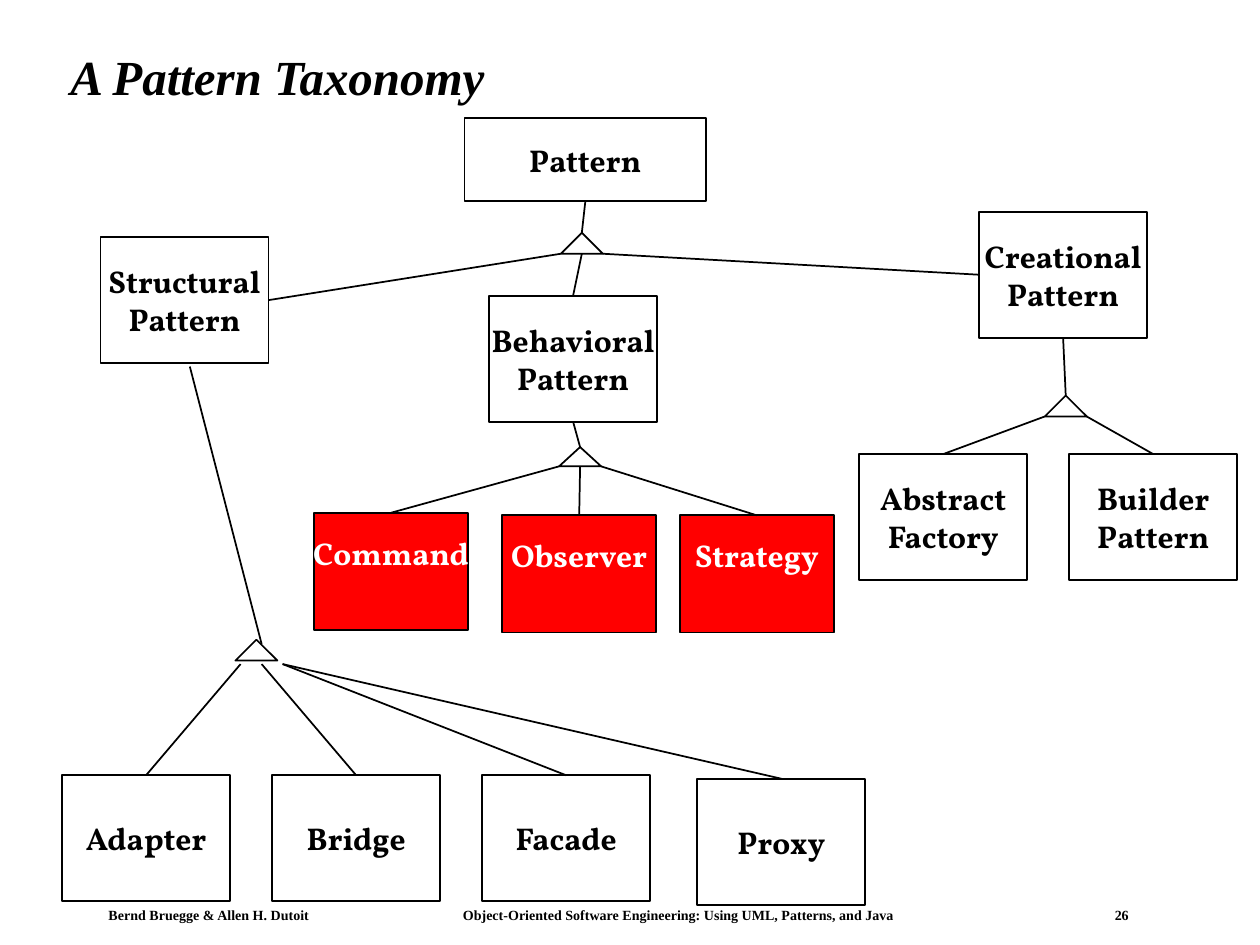
from lxml import etree
from pptx import Presentation
from pptx.dml.color import RGBColor
from pptx.enum.shapes import MSO_CONNECTOR as Link, MSO_SHAPE as Shape
from pptx.enum.text import MSO_ANCHOR as Anchor, MSO_AUTO_SIZE as Fit, PP_ALIGN as Align
from pptx.oxml.ns import qn
from pptx.util import Pt

BLACK = RGBColor(0, 0, 0)
WHITE = RGBColor(255, 255, 255)
RED = RGBColor(255, 0, 0)
SERIF = "Times New Roman"
WIDE, HIGH = 96, 72
STEP = 120
TIP = 24


def style(font, name, size, color=BLACK):
    """Set the bold face, size and colour of a font."""
    font.name, font.size, font.bold = name, Pt(size), True
    font.color.rgb = color


def draw(slide, kind, x, y, w, h, fill=WHITE):
    """Add an outlined preset shape."""
    shape = slide.shapes.add_shape(kind, Pt(x), Pt(y), Pt(w), Pt(h))
    shape.shadow.inherit = False
    shape.fill.solid()
    shape.fill.fore_color.rgb = fill
    shape.line.color.rgb = BLACK
    shape.line.width = Pt(1)
    return shape


def add_box(slide, text, x, y, w=WIDE, h=HIGH, fill=WHITE, color=BLACK):
    """Add a class box with a centred name."""
    box = draw(slide, Shape.RECTANGLE, x, y, w, h, fill)
    frame = box.text_frame
    frame.word_wrap = False
    frame.vertical_anchor = Anchor.MIDDLE
    frame.text = text
    for para in frame.paragraphs:
        para.alignment = Align.CENTER
        style(para.font, "Vollkorn", 18, color)
    return box


def add_red(slide, text, x, y):
    """Add a red class box with its name set high."""
    box = add_box(slide, text, x, y, 88, 67, RED, WHITE)
    box.text_frame.margin_bottom = Pt(25)
    return box


def add_line(slide, x, y, x2, y2):
    """Add a thin black straight line."""
    line = slide.shapes.add_connector(Link.STRAIGHT, Pt(x), Pt(y), Pt(x2), Pt(y2))
    line.line.color.rgb = BLACK
    line.line.width = Pt(1)
    etree.SubElement(line.element.spPr, qn("a:effectLst"))
    return line


def add_fork(slide, x, y, kids, root=None, h=12, dx=0, dy=0):
    """Add a triangle, with lines to its root and its kids."""
    draw(slide, Shape.ISOSCELES_TRIANGLE, x, y, TIP, h)
    if root:
        top = x + TIP / 2
        add_line(slide, top, y, top, y).end_connect(root, 2)
    for kid, part, side in kids:
        left, low = x + part * TIP + dx, y + h + dy
        add_line(slide, left, low, left, low).end_connect(kid, side)


def add_title(slide, text):
    """Fill and place the title."""
    title = slide.shapes.title
    title.left, title.top, title.width, title.height = Pt(33), Pt(17.5), Pt(642), Pt(55.5)
    frame = title.text_frame
    frame.text = text
    frame.auto_size = Fit.NONE
    frame.vertical_anchor = Anchor.MIDDLE
    para = frame.paragraphs[0]
    para.alignment = Align.LEFT
    para.line_spacing = 0.9
    style(para.font, SERIF, 28)
    para.font.italic = True


def add_foot(slide, text, stops):
    """Add the footer line with its tab stops."""
    frame = slide.shapes.add_textbox(Pt(56), Pt(515), Pt(620), Pt(15)).text_frame
    frame.word_wrap = True
    frame.margin_left = frame.margin_right = Pt(6)
    frame.margin_top = frame.margin_bottom = Pt(3)
    para = frame.paragraphs[0]
    para.text = text
    tabs = etree.SubElement(para._p.get_or_add_pPr(), qn("a:tabLst"))
    for stop in stops:
        etree.SubElement(tabs, qn("a:tab"), pos=str(Pt(stop)), algn="l")
    style(para.font, SERIF, 8)


def main():
    """Build and save the slide."""
    deck = Presentation()
    deck.slide_width, deck.slide_height = Pt(720), Pt(540)
    slide = deck.slides.add_slide(deck.slide_layouts[5])
    add_foot(slide, "Bernd Bruegge & Allen H. Dutoit\tObject-Oriented Software Engineering: "
             "Using UML, Patterns, and Java\t26", (202.5, 575))
    add_title(slide, "A Pattern Taxonomy")

    root = add_box(slide, "Pattern", 265.5, 67.5, 138, 47.5)
    struct = add_box(slide, "Structural\nPattern", 57.5, 135.5)
    behave = add_box(slide, "Behavioral\nPattern", 279.5, 169)
    create = add_box(slide, "Creational\nPattern", 559.5, 121)
    add_fork(slide, 320.5, 133, [(struct, 0, 3), (behave, 0.5, 0), (create, 1, 1)], root)

    names = ("Adapter", "Bridge", "Facade")
    low = [add_box(slide, name, 35.5 + i * STEP, 443) for i, name in enumerate(names)]
    low.append(add_box(slide, "Proxy", 398.5, 445))
    kids = [(box, part, 0) for box, part in zip(low, (0, 0.5, 1, 1))]
    add_fork(slide, 134.5, 365.5, kids, dx=3, dy=2)
    add_line(slide, 149.5, 368, 108.5, 209.5)

    reds = [add_red(slide, "Command", 179.5, 293),
            add_red(slide, "Observer", 287, 294.5),
            add_red(slide, "Strategy", 388.5, 294.5)]
    kids = [(box, i / 2, 0) for i, box in enumerate(reds)]
    add_fork(slide, 319.5, 255.5, kids, behave, 11)

    names = ("Abstract\nFactory", "Builder\nPattern")
    made = [add_box(slide, name, 491 + i * STEP, 259.5) for i, name in enumerate(names)]
    add_fork(slide, 597, 226, [(box, i, 0) for i, box in enumerate(made)], create)
    deck.save("out.pptx")


if __name__ == "__main__":
    main()
